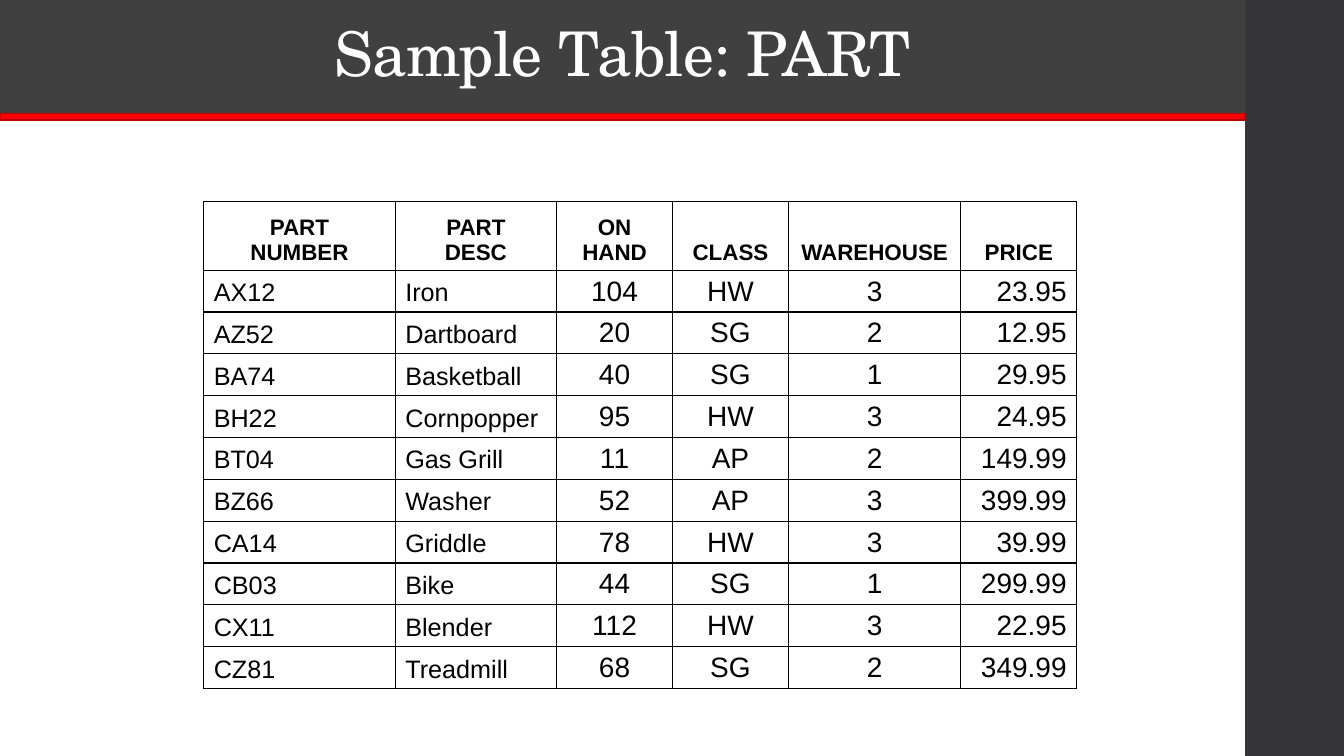
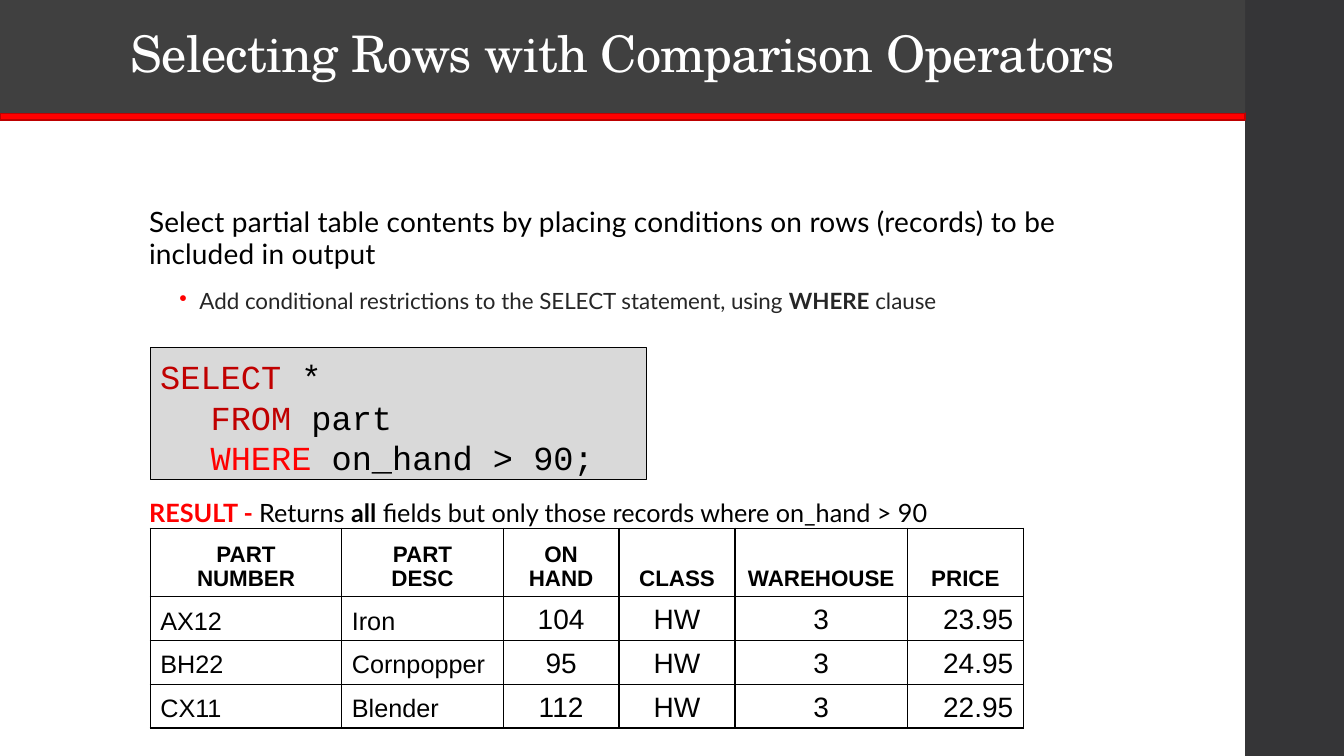
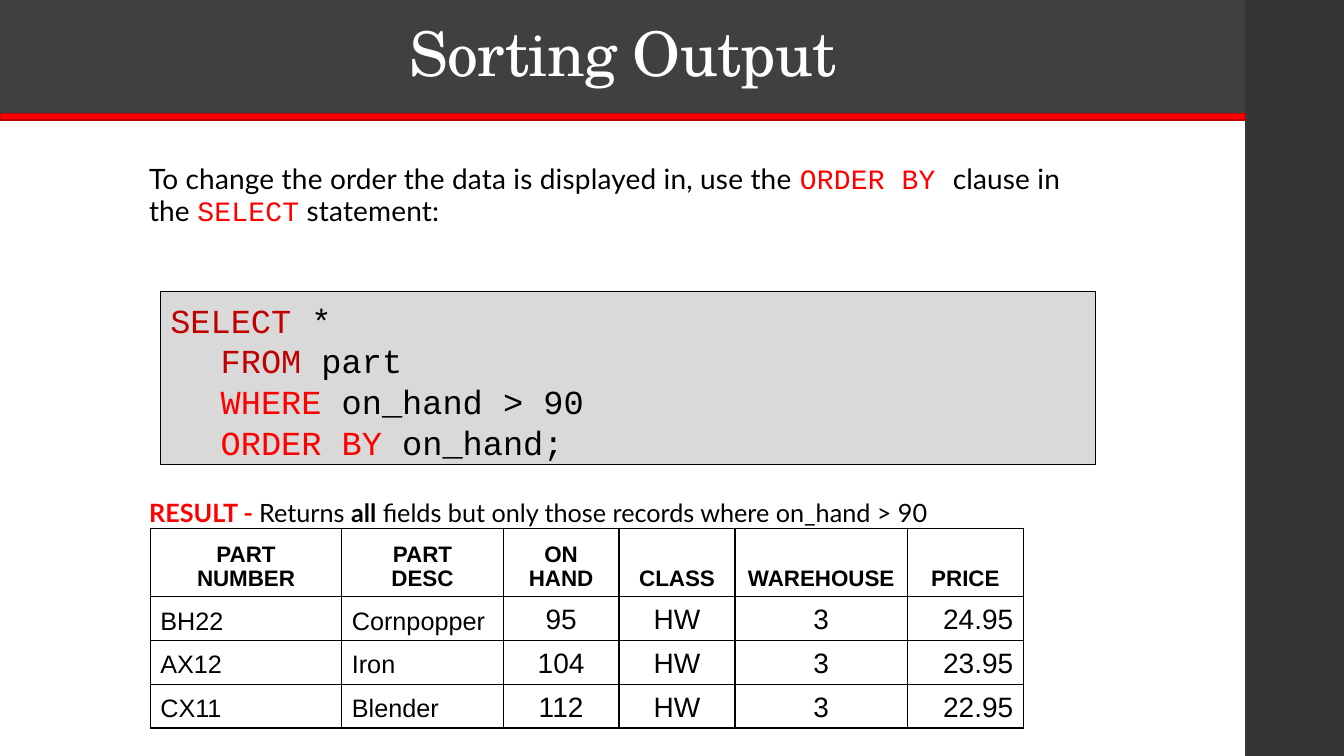
from copy import deepcopy
from dataclasses import dataclass

from lxml import etree
from pptx import Presentation
from pptx.dml.color import RGBColor
from pptx.enum.shapes import MSO_SHAPE
from pptx.enum.text import MSO_ANCHOR, PP_ALIGN
from pptx.oxml.ns import qn
from pptx.util import Inches, Pt

RECTANGLE = MSO_SHAPE.RECTANGLE
TOP, MIDDLE, BOTTOM = MSO_ANCHOR.TOP, MSO_ANCHOR.MIDDLE, MSO_ANCHOR.BOTTOM
LEFT, CENTER, RIGHT = PP_ALIGN.LEFT, PP_ALIGN.CENTER, PP_ALIGN.RIGHT


@dataclass(frozen=True)
class Theme:
    """Colours, fonts and type sizes of the deck."""
    sidebar: str = "353537"
    band: str = "404040"
    red: str = "FF0000"
    rule_edge: str = "BD0000"
    keyword: str = "C00000"
    code_fill: str = "D9D9D9"
    black: str = "000000"
    white: str = "FFFFFF"
    soft_black: str = "262626"
    title_font: str = "TeX Gyre Schola"
    body_font: str = "Lato"
    code_font: str = "Courier New"
    table_font: str = "Arial"
    title_size: int = 44
    long_title_size: int = 36
    code_size: int = 24
    body_size: int = 20
    result_size: int = 18
    bullet_size: int = 16
    header_size: int = 16
    label_size: int = 18
    value_size: int = 20


THEME = Theme()

HEADERS = ["PART\nNUMBER", "PART\nDESC", "ON\nHAND", "CLASS", "WAREHOUSE", "PRICE"]
COLUMN_WIDTHS = [1.9, 1.6, 1.15, 1.15, 1.71, 1.15]
COLUMN_ALIGNS = [LEFT, LEFT, CENTER, CENTER, CENTER, RIGHT]
COLUMN_SIZES = [THEME.label_size] * 2 + [THEME.value_size] * 4
HEADER_HEIGHT = 0.68

PARTS = [
    ("AX12", "Iron", "104", "HW", "3", "23.95"),
    ("AZ52", "Dartboard", "20", "SG", "2", "12.95"),
    ("BA74", "Basketball", "40", "SG", "1", "29.95"),
    ("BH22", "Cornpopper", "95", "HW", "3", "24.95"),
    ("BT04", "Gas Grill", "11", "AP", "2", "149.99"),
    ("BZ66", "Washer", "52", "AP", "3", "399.99"),
    ("CA14", "Griddle", "78", "HW", "3", "39.99"),
    ("CB03", "Bike", "44", "SG", "1", "299.99"),
    ("CX11", "Blender", "112", "HW", "3", "22.95"),
    ("CZ81", "Treadmill", "68", "SG", "2", "349.99"),
]


def write_span(para, text, *, size, font, color=THEME.black, bold=False, spacing=0):
    """Add formatted text to a paragraph, turning newlines into line breaks."""
    for index, line in enumerate(text.split("\n")):
        if index:
            para.add_line_break()
            para._p[-1].append(deepcopy(span._r.rPr))
        span = para.add_run()
        span.text = line
        span.font.size = Pt(size)
        span.font.name = font
        span.font.bold = bold
        span.font.color.rgb = RGBColor.from_string(color)
        if spacing:
            span._r.rPr.set("spc", str(round(spacing * 100)))


def write_spans(para, spans, **style):
    """Write (text, overrides) pairs that share one style."""
    for text, overrides in spans:
        write_span(para, text, **{**style, **overrides})


def add_rect(slide, left, top, width, height, fill, line=None, line_width=1):
    """Add a plain rectangle and return it."""
    box = slide.shapes.add_shape(
        RECTANGLE, Inches(left), Inches(top), Inches(width), Inches(height))
    box.shadow.inherit = False
    box.fill.solid()
    box.fill.fore_color.rgb = RGBColor.from_string(fill)
    if line:
        box.line.color.rgb = RGBColor.from_string(line)
        box.line.width = Pt(line_width)
    else:
        box.line.fill.background()
    return box


def add_text_box(slide, left, top, width, height):
    """Add a wrapping text box and return its text frame."""
    box = slide.shapes.add_textbox(
        Inches(left), Inches(top), Inches(width), Inches(height))
    box.text_frame.word_wrap = True
    return box.text_frame


def add_titled_slide(deck, title, size=THEME.title_size):
    """Add a slide with the sidebar, red rule and title band."""
    slide = deck.slides.add_slide(deck.slide_layouts[6])
    add_rect(slide, 12.35, 0, 0.98, 7.5, THEME.sidebar)
    add_rect(slide, 0, 1.12, 12.35, 0.07, THEME.red, THEME.rule_edge, 1.1)
    frame = add_rect(slide, 0, 0, 12.35, 1.12, THEME.band).text_frame
    frame.vertical_anchor = MIDDLE
    frame.word_wrap = True
    para = frame.paragraphs[0]
    para.alignment = CENTER
    para.line_spacing = 0.9
    write_span(para, title, size=size, font=THEME.title_font,
               color=THEME.white, spacing=-0.5)
    return slide


def add_intro(slide, top, height, spans):
    """Add the opening paragraph and return its text frame."""
    frame = add_text_box(slide, 1.38, top, 9.4, height)
    para = frame.paragraphs[0]
    para.line_spacing = 0.95
    para.space_after = Pt(2)
    write_spans(para, spans, size=THEME.body_size, font=THEME.body_font, spacing=0.1)
    return frame


def add_bullet(frame, spans):
    """Append a second-level paragraph with a red bullet."""
    para = frame.add_paragraph()
    para.line_spacing = 0.9
    para.space_before = Pt(12)
    para.space_after = Pt(3)
    props = para._p.get_or_add_pPr()
    props.set("marL", str(Inches(0.5)))
    props.set("indent", str(Inches(-0.2)))
    color = etree.SubElement(props, qn("a:buClr"))
    etree.SubElement(color, qn("a:srgbClr"), val=THEME.red)
    etree.SubElement(props, qn("a:buChar"), char="•")
    write_spans(para, spans, size=THEME.bullet_size, font=THEME.body_font,
                color=THEME.soft_black)


def add_code(slide, left, top, width, height, clauses):
    """Add a query box from (keyword, rest, colour) clauses."""
    frame = add_rect(slide, left, top, width, height, THEME.code_fill,
                     THEME.black, 0.75).text_frame
    frame.vertical_anchor = TOP
    frame.margin_top = Inches(0.08)
    frame.word_wrap = True
    for index, (keyword, rest, color) in enumerate(clauses):
        para = frame.add_paragraph() if index else frame.paragraphs[0]
        para.alignment = LEFT
        para.line_spacing = Pt(29)
        if index:
            para._p.get_or_add_pPr().set("marL", str(Inches(0.5)))
        write_spans(para, [(keyword, {"color": color}), (" " + rest, {})],
                    size=THEME.code_size, font=THEME.code_font)


def style_cell(cell):
    """Give a cell black borders, no fill and bottom alignment."""
    cell.vertical_anchor = BOTTOM
    props = cell._tc.get_or_add_tcPr()
    for side in ("lnL", "lnR", "lnT", "lnB"):
        line = etree.SubElement(props, qn(f"a:{side}"), w=str(Pt(1)))
        fill = etree.SubElement(line, qn("a:solidFill"))
        etree.SubElement(fill, qn("a:srgbClr"), val=THEME.black)
    cell.fill.background()


def add_part_table(slide, left, top, height, records):
    """Add a bordered table of part records."""
    table = slide.shapes.add_table(
        len(records) + 1, len(HEADERS), Inches(left), Inches(top),
        Inches(sum(COLUMN_WIDTHS)), Inches(height)).table
    table.first_row = False
    table.horz_banding = False
    for column, width in zip(table.columns, COLUMN_WIDTHS):
        column.width = Inches(width)
    row_height = (height - HEADER_HEIGHT) / len(records)
    for r, values in enumerate([HEADERS, *records]):
        table.rows[r].height = Inches(row_height if r else HEADER_HEIGHT)
        for c, value in enumerate(values):
            cell = table.cell(r, c)
            style_cell(cell)
            para = cell.text_frame.paragraphs[0]
            para.alignment = COLUMN_ALIGNS[c] if r else CENTER
            write_span(para, value, font=THEME.table_font, bold=r == 0,
                       size=COLUMN_SIZES[c] if r else THEME.header_size)


def add_result(slide, records):
    """Add the query result table and its caption."""
    add_part_table(slide, 1.49, 5.24, 1.97, records)
    frame = add_text_box(slide, 1.38, 4.88, 8.32, 0.4)
    write_spans(frame.paragraphs[0], [
        ("RESULT - ", {"color": THEME.red, "bold": True}),
        ("Returns ", {}),
        ("all", {"bold": True}),
        (" fields but only those records where on_hand > 90", {}),
    ], size=THEME.result_size, font=THEME.body_font)


def build_sample(deck):
    """Build the slide with the whole part table."""
    slide = add_titled_slide(deck, "Sample Table: PART")
    add_part_table(slide, 2.02, 2, 4.83, PARTS)


def build_selecting(deck, records):
    """Build the slide on selecting rows."""
    slide = add_titled_slide(deck, "Selecting Rows with Comparison Operators",
                             THEME.long_title_size)
    frame = add_intro(slide, 2, 1.31, [
        ("Select partial table contents by placing conditions on rows (records) "
         "to be included in output", {})])
    add_bullet(frame, [
        ("Add conditional restrictions to the SELECT statement, using ", {}),
        ("WHERE", {"bold": True}),
        (" clause", {}),
    ])
    add_code(slide, 1.49, 3.45, 4.92, 1.31, [
        ("SELECT", "*", THEME.keyword),
        ("FROM", "part", THEME.keyword),
        ("WHERE", "on_hand > 90;", THEME.red),
    ])
    add_result(slide, records)


def build_sorting(deck, records):
    """Build the slide on sorting output."""
    slide = add_titled_slide(deck, "Sorting Output")
    code = {"font": THEME.code_font, "color": THEME.red}
    add_intro(slide, 1.58, 0.86, [
        ("To change the order the data is displayed in, use the ", {}),
        ("ORDER BY ", code),
        ("clause in the ", {}),
        ("SELECT", code),
        (" statement:", {}),
    ])
    add_code(slide, 1.59, 2.89, 9.28, 1.72, [
        ("SELECT", "*", THEME.keyword),
        ("FROM", "part", THEME.keyword),
        ("WHERE", "on_hand > 90", THEME.red),
        ("ORDER BY", "on_hand;", THEME.red),
    ])
    add_result(slide, sorted(records, key=lambda record: int(record[2])))


def main():
    """Build and save the deck."""
    deck = Presentation()
    deck.slide_width, deck.slide_height = Inches(13.33), Inches(7.5)
    selected = [record for record in PARTS if int(record[2]) > 90]
    build_sample(deck)
    build_selecting(deck, selected)
    build_sorting(deck, selected)
    deck.save("out.pptx")


main()
